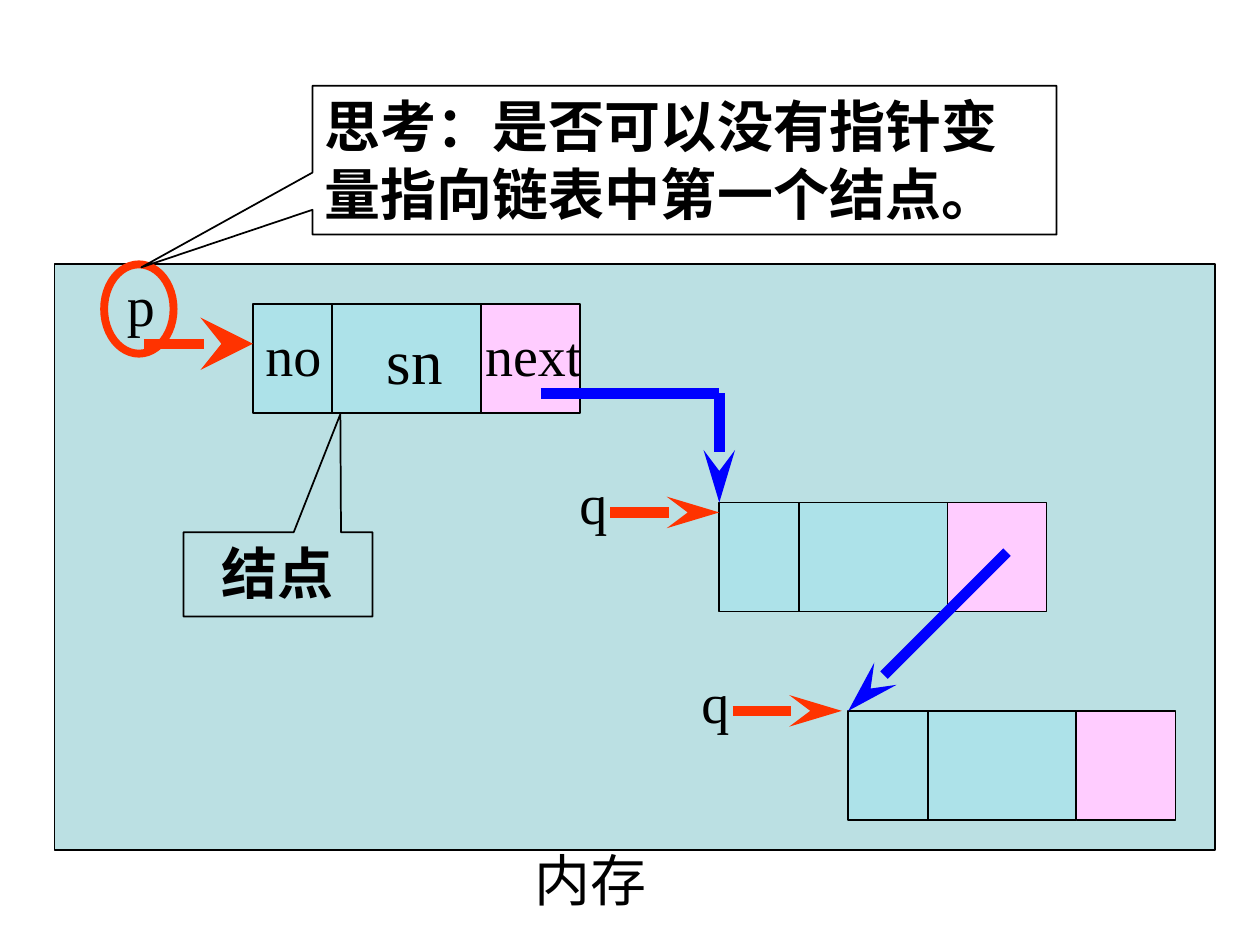
from typing import NamedTuple

from lxml import etree
from pptx import Presentation
from pptx.dml.color import RGBColor
from pptx.enum import shapes, text
from pptx.oxml import ns
from pptx.util import Cm, Pt

BLACK = RGBColor(0x00, 0x00, 0x00)
PANEL = RGBColor(0xBB, 0xE0, 0xE3)
DATA = RGBColor(0xAD, 0xE2, 0xE9)
LINK = RGBColor(0xFF, 0xCC, 0xFF)
RED = RGBColor(0xFF, 0x33, 0x00)
BLUE = RGBColor(0x00, 0x00, 0xFF)
FONT = "Times New Roman"

# Node layout in centimetres: number field, data field up to the link, link
NUMBER_WIDTH, DATA_WIDTH, LINK_WIDTH, NODE_HEIGHT = 1.6, 4.6, 2.0, 2.2
POINTER_LENGTH = 2.2
SHAPE = shapes.MSO_SHAPE


class Area(NamedTuple):
    left: float
    top: float
    width: float
    height: float


class Label(NamedTuple):
    words: str
    area: Area
    size: int = 32


class Node(NamedTuple):
    left: float
    top: float


class Pointer(NamedTuple):
    label: Label
    left: float
    top: float
    head_width: str = "med"


class Callout(NamedTuple):
    words: str
    area: Area
    tip: tuple[float, float]
    align: text.PP_ALIGN


def lengths(area: Area) -> list[Cm]:
    return [Cm(value) for value in area]


def write(frame, words: str, size: int, bold: bool = False,
          align: text.PP_ALIGN = text.PP_ALIGN.LEFT) -> None:
    frame.text = words
    para = frame.paragraphs[0]
    para.alignment = align
    font = para.runs[0].font
    font.name, font.size, font.bold = FONT, Pt(size), bold
    font.color.rgb = BLACK


def draw_shape(page, kind: SHAPE, area: Area, fill: RGBColor | None = None,
               line: RGBColor = BLACK, weight: float = 1):
    shape = page.shapes.add_shape(kind, *lengths(area))
    shape.shadow.inherit = False
    if fill is None:
        shape.fill.background()
    else:
        shape.fill.solid()
        shape.fill.fore_color.rgb = fill
    shape.line.color.rgb = line
    shape.line.width = Pt(weight)
    return shape


def draw_line(page, start: tuple[float, float], end: tuple[float, float],
              color: RGBColor = BLACK, weight: float = 1, head_width: str = "") -> None:
    line = page.shapes.add_connector(
        shapes.MSO_CONNECTOR.STRAIGHT, *(Cm(value) for value in start + end))
    line.line.color.rgb = color
    line.line.width = Pt(weight)
    if head_width:
        etree.SubElement(line.line._get_or_add_ln(), ns.qn("a:tailEnd"),
                         type="stealth", w=head_width, len="lg")
    etree.SubElement(line._element.spPr, ns.qn("a:effectLst"))


def draw_label(page, label: Label) -> None:
    box = page.shapes.add_textbox(*lengths(label.area))
    box.text_frame.word_wrap = False
    box.text_frame.auto_size = text.MSO_AUTO_SIZE.SHAPE_TO_FIT_TEXT
    write(box.text_frame, label.words, label.size)


def draw_node(page, node: Node) -> None:
    left, top = node
    draw_shape(page, SHAPE.RECTANGLE, Area(left, top, DATA_WIDTH, NODE_HEIGHT), DATA)
    draw_shape(page, SHAPE.RECTANGLE,
               Area(left + DATA_WIDTH, top, LINK_WIDTH, NODE_HEIGHT), LINK)
    divider = left + NUMBER_WIDTH
    draw_line(page, (divider, top), (divider, top + NODE_HEIGHT))


def draw_pointer(page, pointer: Pointer) -> None:
    draw_label(page, pointer.label)
    draw_line(page, (pointer.left, pointer.top),
              (pointer.left + POINTER_LENGTH, pointer.top), RED, 6, pointer.head_width)


def draw_callout(page, callout: Callout) -> None:
    shape = draw_shape(page, SHAPE.RECTANGULAR_CALLOUT, callout.area)
    for index, value in enumerate(callout.tip):
        shape.adjustments[index] = value
    shape.text_frame.vertical_anchor = text.MSO_ANCHOR.TOP
    write(shape.text_frame, callout.words, 32, True, callout.align)


FIRST, SECOND, THIRD = Node(5.1, 6.13), Node(14.5, 10.13), Node(17.1, 14.33)
POINTERS = [
    Pointer(Label("q", Area(11.43, 9.32, 1.07, 1.63)), 12.3, 10.33),
    Pointer(Label("p", Area(2.31, 5.33, 1.07, 1.63)), 2.9, 6.93, "lg"),
    Pointer(Label("q", Area(13.89, 13.33, 1.07, 1.63)), 14.77, 14.33),
]
FIELDS = [
    Label("no", Area(5.1, 6.33, 1.63, 1.63)),
    Label("sn", Area(7.55, 6.35, 1.63, 1.78), 36),
    Label("next", Area(9.53, 6.33, 2.5, 1.63)),
]
NODE_NOTE = Callout("结点", Area(3.7, 10.73, 3.81, 1.7), (0.33, -1.9),
                    text.PP_ALIGN.CENTER)
QUESTION = Callout("思考：是否可以没有指针变量指向链表中第一个结点。",
                   Area(6.3, 1.73, 15, 3), (-0.73, 0.72), text.PP_ALIGN.LEFT)


def main() -> None:
    deck = Presentation()
    deck.slide_width, deck.slide_height = Cm(25.4), Cm(19.05)
    page = deck.slides.add_slide(deck.slide_layouts[6])

    # Memory area
    draw_shape(page, SHAPE.RECTANGLE, Area(1.1, 5.33, 23.4, 11.8), PANEL)
    draw_label(page, Label("内存", Area(10.52, 16.92, 2.77, 1.63)))

    # List nodes and the pointers to them
    for node in (FIRST, SECOND, THIRD):
        draw_node(page, node)
    for pointer in POINTERS:
        draw_pointer(page, pointer)
    for field in FIELDS:
        draw_label(page, field)

    # Links from node to node
    draw_line(page, (20.3, 11.13), THIRD, BLUE, 6, "med")
    corner = (SECOND.left, 7.93)
    draw_line(page, corner, SECOND, BLUE, 6, "med")
    draw_line(page, (10.9, 7.93), corner, BLUE, 6)

    # Remarks
    draw_callout(page, NODE_NOTE)
    draw_shape(page, SHAPE.OVAL, Area(2.1, 5.33, 1.4, 1.8), line=RED, weight=4.5)
    draw_callout(page, QUESTION)

    deck.save("out.pptx")


if __name__ == "__main__":
    main()
